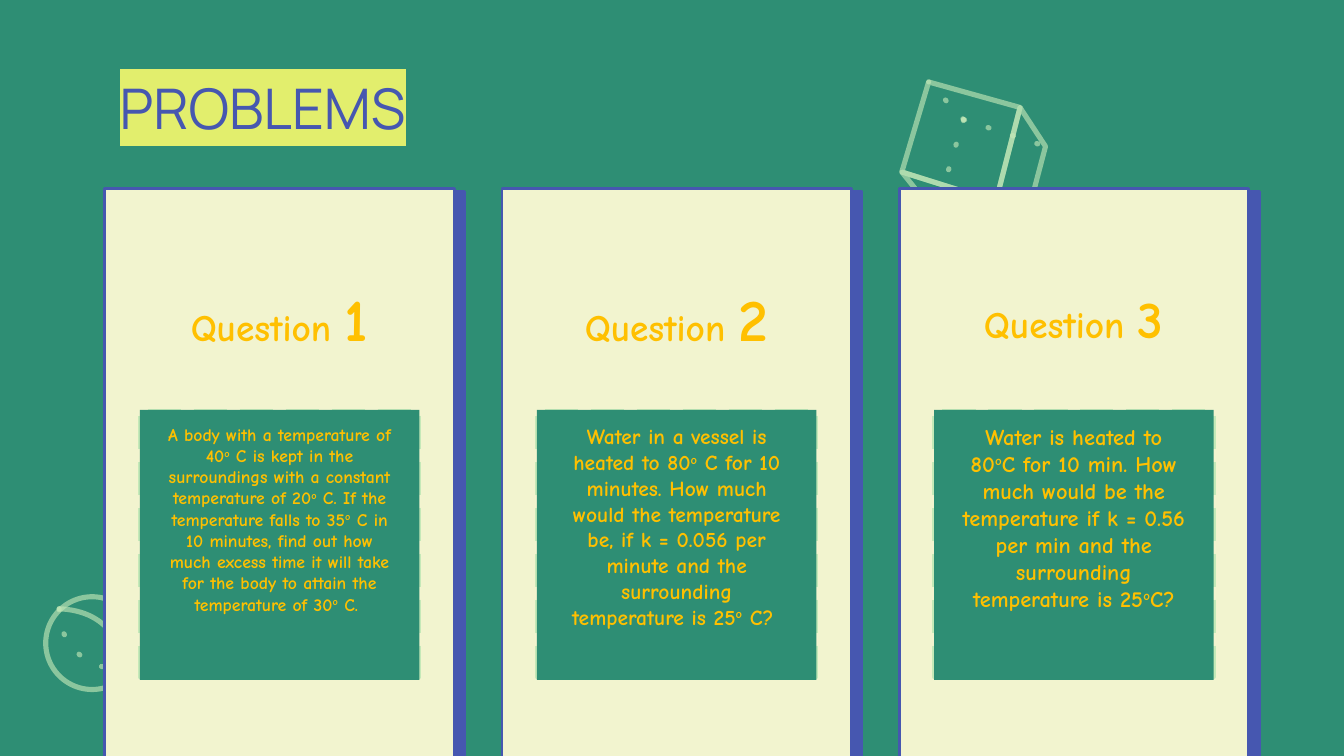
from lxml.etree import SubElement
from pptx import Presentation
from pptx.dml.color import RGBColor
from pptx.enum.dml import MSO_LINE
from pptx.enum.shapes import MSO_CONNECTOR, MSO_SHAPE
from pptx.enum.text import MSO_ANCHOR, MSO_AUTO_SIZE, PP_ALIGN
from pptx.oxml.ns import qn
from pptx.util import Inches, Pt

GREEN, CREAM, BLUE = "2E8E74", "F2F4CF", "4657B0"
MINT, AMBER, LIME = "C5E9B8", "FFC000", "E2EE6D"
FIRST_LEFT, COLUMN_STEP = 0.78, 2.955
QUESTIONS = [
    ("1", 32, 9.5, "A body with a temperature of 40^o^ C is kept in the surroundings "
     "with a constant temperature of 20^o^ C. If the temperature falls to 35^o^ C in "
     "10 minutes, find out how much excess time it will take for the body to attain "
     "the temperature of 30^o^ C. "),
    ("2", 32, 11.5, "Water in a vessel is heated to 80^o^ C for 10 minutes. How much "
     "would the temperature be, if k = 0.056 per minute and the surrounding "
     "temperature is 25^o^ C? "),
    ("3", 28, 12, "Water is heated to 80^o^C for 10 min. How much would be the "
     "temperature if k = 0.56 per min and the surrounding temperature is 25^o^C?"),
]


def rgb(value):
    """Turn a hex string into a colour."""
    return RGBColor.from_string(value)


def box(*lengths):
    """Turn inches into a list of slide lengths."""
    return [Inches(length) for length in lengths]


def add_run(p, text, size, font="Comic Neue", color=AMBER, bold=True):
    """Append one formatted run to a paragraph."""
    r = p.add_run()
    r.text = text
    r.font.size, r.font.name, r.font.bold = Pt(size), font, bold
    r.font.color.rgb = rgb(color)
    return r


def set_frame(sp, side=0.1, anchor=MSO_ANCHOR.MIDDLE, align=PP_ALIGN.CENTER):
    """Set margins and alignment, and return the first paragraph."""
    tf = sp.text_frame
    tf.word_wrap, tf.auto_size, tf.vertical_anchor = True, MSO_AUTO_SIZE.NONE, anchor
    tf.margin_left, tf.margin_right, tf.margin_top, tf.margin_bottom = box(side, side, 0.1, 0.1)
    p = tf.paragraphs[0]
    p.alignment = align
    return p


def add_rect(s, place, fill=None, line=None, width=1.5):
    """Add a rectangle with an optional fill and outline."""
    sp = s.shapes.add_shape(MSO_SHAPE.RECTANGLE, *box(*place))
    sp.shadow.inherit = False
    if fill:
        sp.fill.solid()
        sp.fill.fore_color.rgb = rgb(fill)
    else:
        sp.fill.background()
    if line:
        sp.line.color.rgb, sp.line.width = rgb(line), Pt(width)
    else:
        sp.line.fill.background()
    return sp


def add_hard_shadow(sp, color):
    """Give a shape an unblurred shadow towards the right."""
    effects = sp._element.spPr.find(qn("a:effectLst"))
    shadow = SubElement(effects, qn("a:outerShdw"), blurRad="0", dist=str(Pt(6)),
                        dir=str(16 * 60000), algn="bl", rotWithShape="0")
    SubElement(shadow, qn("a:srgbClr"), val=color)


def style_sketch(sp, dashed=False):
    """Draw a shape's line as a translucent chalk stroke."""
    sp.line.color.rgb, sp.line.width = rgb(MINT), Pt(2.75)
    ln = sp._element.spPr.find(qn("a:ln"))
    ln.set("cap", "rnd")
    SubElement(ln.find(qn("a:solidFill"))[0], qn("a:alpha"), val="61000")
    if dashed:
        dashes = SubElement(ln, qn("a:custDash"))
        SubElement(dashes, qn("a:ds"), d="120000", sp="380000")
    SubElement(ln, qn("a:round"))


def add_outline(s, points, close=True, dashed=False):
    """Add an unfilled chalk outline through the points."""
    start, *rest = [tuple(box(*point)) for point in points]
    builder = s.shapes.build_freeform(*start)
    builder.add_line_segments(rest, close=close)
    sp = builder.convert_to_shape()
    sp.shadow.inherit = False
    sp.fill.background()
    style_sketch(sp, dashed)


def add_hidden_edge(s, start, end):
    """Add a dashed straight chalk edge."""
    c = s.shapes.add_connector(MSO_CONNECTOR.STRAIGHT, *box(*start, *end))
    style_sketch(c, dashed=True)
    SubElement(c._element.spPr, qn("a:effectLst"))


def add_cube(s):
    """Draw the cube sketch."""
    top, right, front, left = (6.91, 0.61), (7.59, 0.80), (7.41, 1.50), (6.71, 1.28)
    far, low, base, back = (7.78, 1.09), (7.60, 1.77), (6.96, 1.59), (7.17, 0.89)
    for face in ((top, right, front, left), (right, far, low, front), (left, front, low, base)):
        add_outline(s, face)
    for corner in (top, far, base):
        add_hidden_edge(s, back, corner)


def curve(start, control, end, steps=24):
    """Return points along a quadratic curve."""
    shares = [i / steps for i in range(steps + 1)]
    return [tuple((1 - t) ** 2 * a + 2 * t * (1 - t) * b + t * t * c
                  for a, b, c in zip(start, control, end)) for t in shares]


def add_sphere(s):
    """Draw the sphere sketch with its equator."""
    sp = s.shapes.add_shape(MSO_SHAPE.OVAL, *box(0.34, 4.44, 0.69, 0.69))
    sp.shadow.inherit = False
    sp.fill.background()
    style_sketch(sp)
    ends = (0.44, 4.53), (0.94, 5.00)
    add_outline(s, curve(ends[0], (0.87, 4.55), ends[1]), close=False)
    add_outline(s, curve(ends[0], (0.45, 4.94), ends[1]), close=False, dashed=True)


def add_title(s, text):
    """Place the slide title on a highlighted ground."""
    sp = s.shapes.title
    sp.left, sp.top, sp.width, sp.height = box(0.79, 0.59, 8.43, 0.41)
    r = add_run(set_frame(sp, align=PP_ALIGN.LEFT), text, 30, "Manrope", BLUE, False)
    highlight = SubElement(r._r.rPr, qn("a:highlight"))
    SubElement(highlight, qn("a:srgbClr"), val=LIME)
    r._r.rPr.find(qn("a:solidFill")).addnext(highlight)


def add_question(s, column, number, number_size, size, text):
    """Add one question card in its column."""
    left = FIRST_LEFT + column * COLUMN_STEP
    add_hard_shadow(add_rect(s, (left, 1.4, 2.6, 4.56), CREAM, BLUE), BLUE)
    frame = add_rect(s, (left + 0.26, 3.06, 2.08, 1.98), line=MINT, width=2.25)
    frame.line.dash_style = MSO_LINE.LONG_DASH
    p = set_frame(s.shapes.add_textbox(*box(left + 0.03, 2.13, 2.54, 0.47)))
    add_run(p, "Question ", 20)
    add_run(p, number, number_size)
    panel = add_rect(s, (left + 0.26, 3.05, 2.08, 2.01), GREEN)
    p = set_frame(panel, side=0.2, anchor=MSO_ANCHOR.TOP)
    for i, part in enumerate(text.split("^")):
        r = add_run(p, part, size)
        if i % 2:
            r._r.rPr.set("baseline", "30000")


def main():
    """Build and save the slide."""
    prs = Presentation()
    prs.slide_width, prs.slide_height = box(10, 5.625)
    s = prs.slides.add_slide(prs.slide_layouts[5])
    s.background.fill.solid()
    s.background.fill.fore_color.rgb = rgb(GREEN)
    add_title(s, "PROBLEMS")
    add_cube(s)
    add_sphere(s)
    for column, question in enumerate(QUESTIONS):
        add_question(s, column, *question)
    prs.save("out.pptx")


if __name__ == "__main__":
    main()
